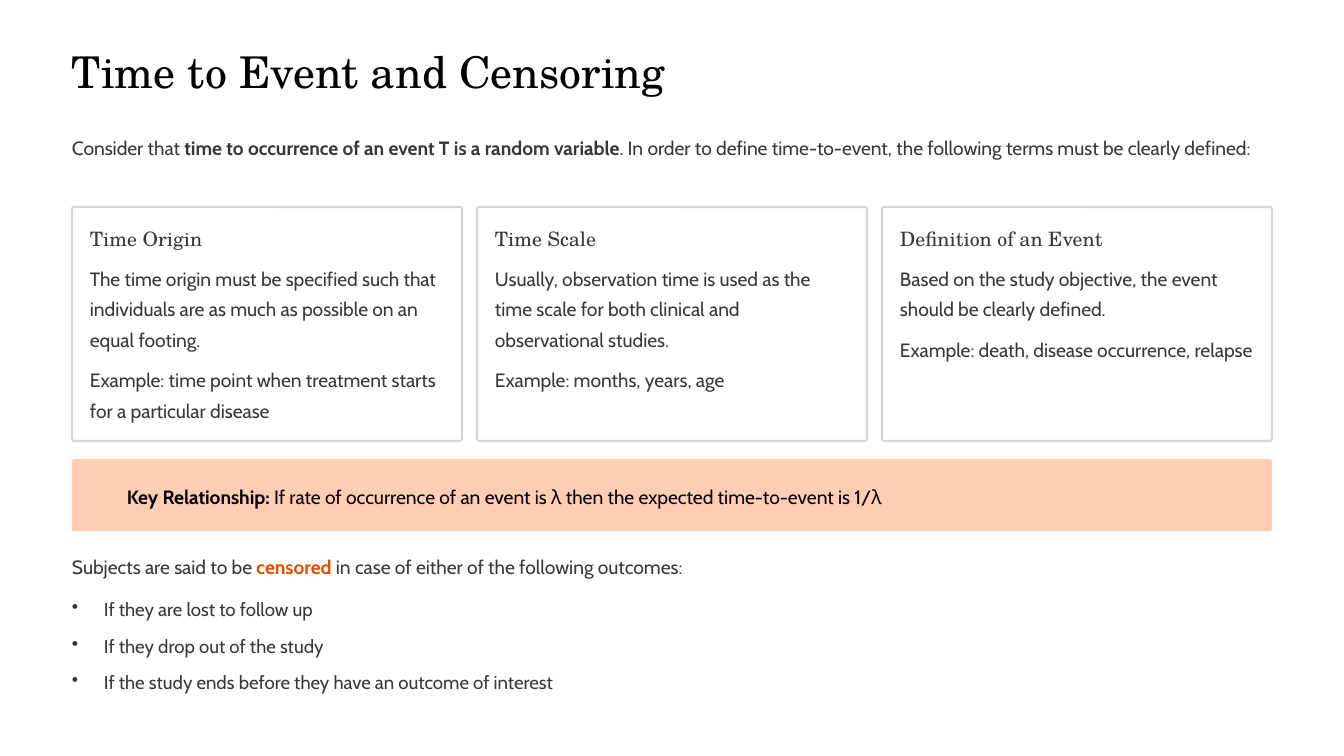
from lxml.etree import SubElement
from pptx import Presentation
from pptx.dml.color import RGBColor
from pptx.enum.shapes import MSO_SHAPE
from pptx.enum.text import MSO_ANCHOR, MSO_AUTO_SIZE, PP_ALIGN
from pptx.oxml.ns import qn
from pptx.util import Emu, Pt

COLORS = {
    "paper": "FFFFFF",
    "title": "020202",
    "text": "383838",
    "border": "D8D4D4",
    "band": "FFCDB3",
    "key": "000000",
    "accent": "E04F00",
}
SERIF = "TeX Gyre Schola"
SANS = "Cabin"
LEFT, WIDTH = 72, 1200
CARD_TOP, CARD_WIDTH, CARD_HEIGHT = 207, 390, 234
CARD_GAP, CARD_PADDING = 15, 18

CARDS = [
    ("Time Origin", [
        "The time origin must be specified such that individuals are as much as possible on an equal footing.",
        "Example: time point when treatment starts for a particular disease",
    ]),
    ("Time Scale", [
        "Usually, observation time is used as the time scale for both clinical and observational studies.",
        "Example: months, years, age",
    ]),
    ("Definition of an Event", [
        "Based on the study objective, the event should be clearly defined.",
        "Example: death, disease occurrence, relapse",
    ]),
]
OUTCOMES = [
    "If they are lost to follow up",
    "If they drop out of the study",
    "If the study ends before they have an outcome of interest",
]


def px(value):
    return Emu(round(value * 914400 / 84))


def rgb(name):
    return RGBColor.from_string(COLORS[name])


class SlideBuilder:
    def __init__(self, presentation):
        self.slide = presentation.slides.add_slide(presentation.slide_layouts[5])
        fill = self.slide.background.fill
        fill.solid()
        fill.fore_color.rgb = rgb("paper")

    def set_text(self, shape, paragraphs, font=SANS, size=16.5, color="text",
                 line=26, gap=0, bullet=False):
        frame = shape.text_frame
        frame.word_wrap = True
        frame.auto_size = MSO_AUTO_SIZE.NONE
        frame.vertical_anchor = MSO_ANCHOR.TOP
        frame.margin_left = frame.margin_right = 0
        frame.margin_top = frame.margin_bottom = 0
        for index, content in enumerate(paragraphs):
            paragraph = frame.add_paragraph() if index else frame.paragraphs[0]
            if bullet:
                properties = paragraph._p.get_or_add_pPr()
                properties.set("marL", str(px(32)))
                properties.set("indent", str(-px(32)))
                SubElement(properties, qn("a:buChar")).set("char", "•")
            paragraph.alignment = PP_ALIGN.LEFT
            paragraph.line_spacing = Pt(line)
            paragraph.space_before = Pt(gap if index else 0)
            paragraph.font.name = font
            paragraph.font.size = Pt(size)
            paragraph.font.color.rgb = rgb(color)
            runs = [(content,)] if isinstance(content, str) else content
            for text, *emphasis in runs:
                run = paragraph.add_run()
                run.text = text
                if emphasis:
                    run.font.bold = True
                    run.font.color.rgb = rgb(emphasis[0])

    def title(self, text, left, top, width, height):
        shape = self.slide.shapes.title
        shape.left, shape.top = px(left), px(top)
        shape.width, shape.height = px(width), px(height)
        self.set_text(shape, [text], SERIF, 37.5, "title", 34.5)

    def text(self, paragraphs, left, top, width, height, **style):
        shape = self.slide.shapes.add_textbox(px(left), px(top), px(width), px(height))
        self.set_text(shape, paragraphs, **style)

    def panel(self, left, top, width, height, radius, fill, border=None):
        shape = self.slide.shapes.add_shape(
            MSO_SHAPE.ROUNDED_RECTANGLE, px(left), px(top), px(width), px(height))
        shape.adjustments[0] = radius
        shape.shadow.inherit = False
        shape.fill.solid()
        shape.fill.fore_color.rgb = rgb(fill)
        if border:
            shape.line.color.rgb = rgb(border)
            shape.line.width = Pt(1.8)
        else:
            shape.line.fill.background()

    def card(self, left, heading, body):
        self.panel(left, CARD_TOP, CARD_WIDTH, CARD_HEIGHT, 0.01, "paper", "border")
        inner_left = left + CARD_PADDING
        inner_width = CARD_WIDTH - 2 * CARD_PADDING
        self.text([heading], inner_left, CARD_TOP + 18, inner_width, 25,
                  font=SERIF, size=17, line=21.5)
        self.text(body, inner_left, CARD_TOP + 53, inner_width, 164, gap=9)


def main():
    presentation = Presentation()
    presentation.slide_width, presentation.slide_height = px(1344), px(756)
    builder = SlideBuilder(presentation)

    builder.title("Time to Event and Censoring", LEFT, 57, WIDTH, 42)
    builder.text([[
        ("Consider that ",),
        ("time to occurrence of an event T is a random variable", "text"),
        (". In order to define time-to-event, the following terms must be clearly defined:",),
    ]], LEFT, 129, WIDTH, 62)

    for index, (heading, body) in enumerate(CARDS):
        builder.card(LEFT + index * (CARD_WIDTH + CARD_GAP), heading, body)

    builder.panel(LEFT, 459, WIDTH, 72, 0.03, "band")
    builder.text([[
        ("Key Relationship:", "key"),
        (" If rate of occurrence of an event is λ then the expected time-to-event is 1/λ",),
    ]], 127, 478, 1129, 31, color="key")

    builder.text([[
        ("Subjects are said to be ",),
        ("censored", "accent"),
        (" in case of either of the following outcomes:",),
    ]], LEFT, 548, WIDTH, 31)
    builder.text(OUTCOMES, LEFT, 596, WIDTH, 104, size=16, line=21, gap=10.3, bullet=True)

    presentation.save("out.pptx")


if __name__ == "__main__":
    main()
